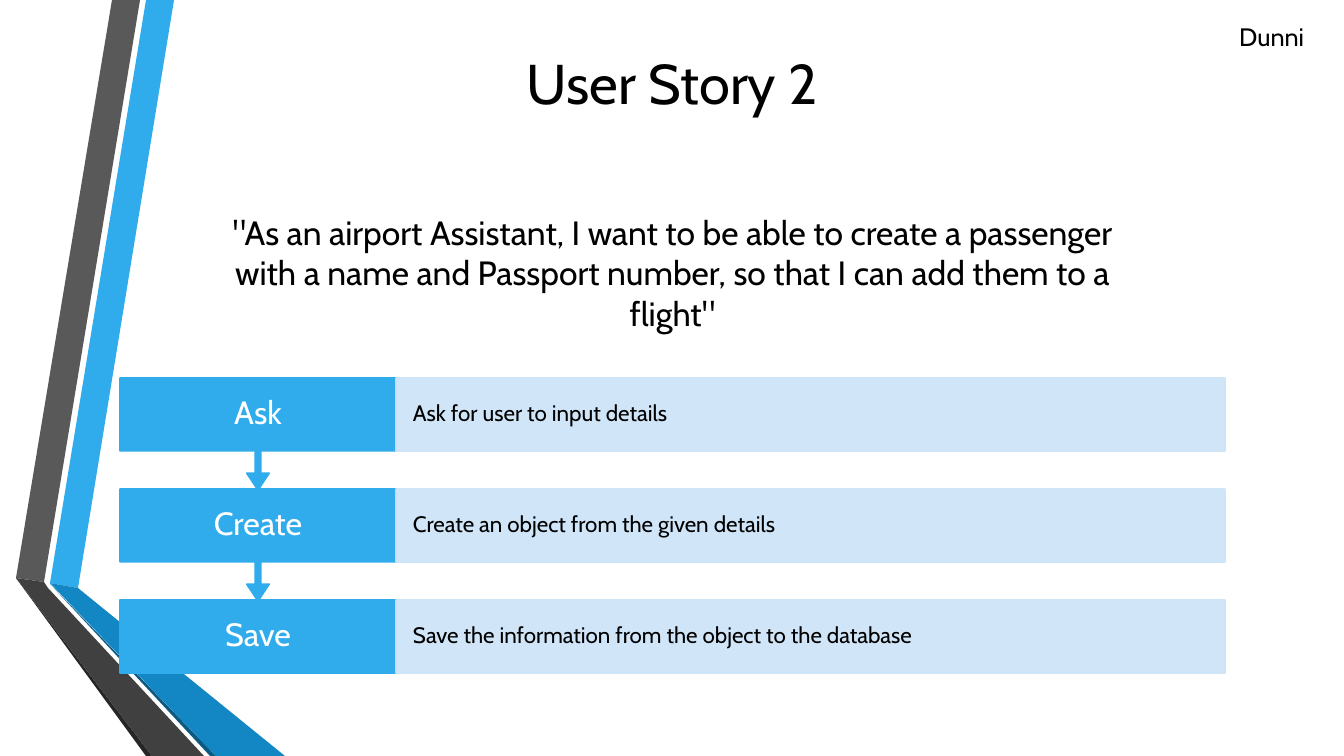
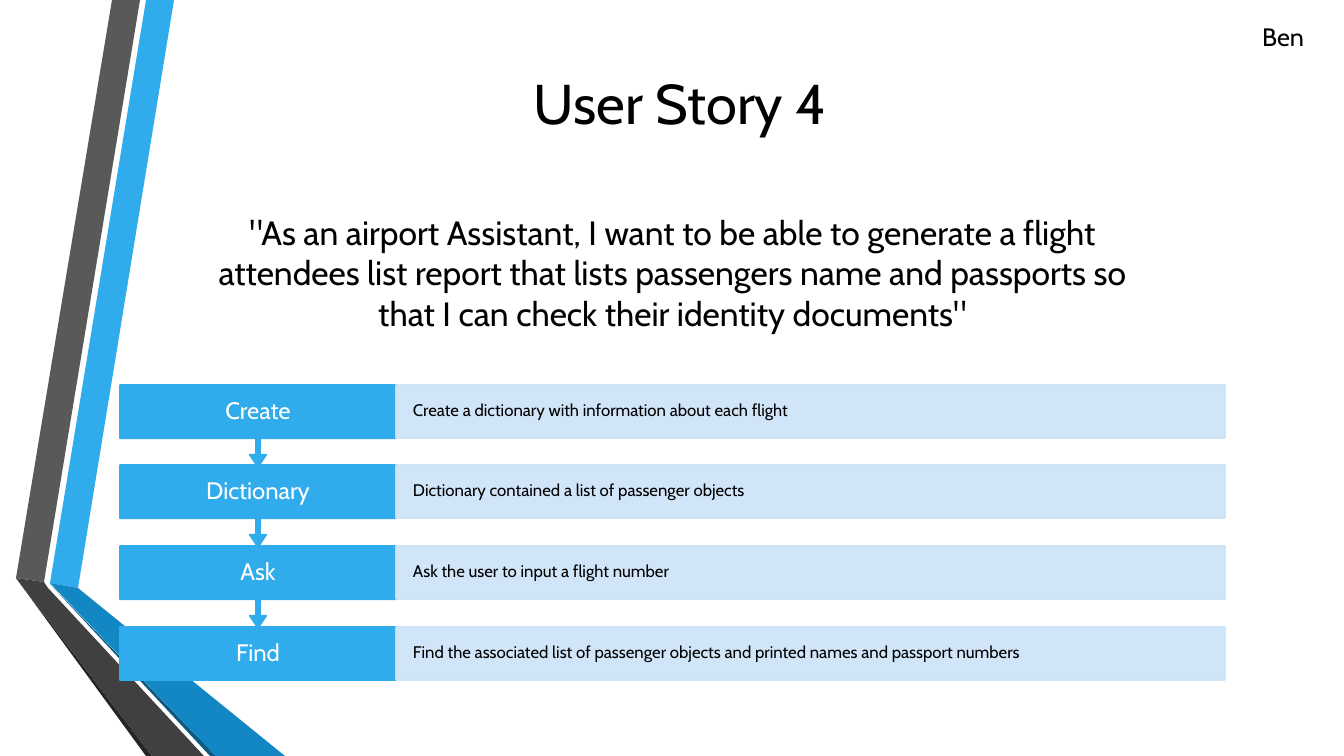
import pptx
import pptx.util
import pptx.dml.color
import pptx.enum.shapes
import pptx.enum.text
import pptx.oxml.ns
import lxml.etree

RGB = pptx.dml.color.RGBColor
KIND = pptx.enum.shapes.MSO_SHAPE
ALIGN = pptx.enum.text.PP_ALIGN
ANCHOR = pptx.enum.text.MSO_ANCHOR
FIT = pptx.enum.text.MSO_AUTO_SIZE

# Shared look
PX = 12192000 / 1344
FONT = "Cabin"
BLUE = RGB(0x30, 0xAC, 0xEC)
PALE = RGB(0xCD, 0xE3, 0xF8)
GREY = RGB(0x59, 0x59, 0x59)
COAL = RGB(0x40, 0x40, 0x40)
SHADE = RGB(0x26, 0x26, 0x26)
NAVY = RGB(0x0C, 0x5A, 0x82)
DEEP = RGB(0x12, 0x87, 0xC3)
BLACK = RGB(0, 0, 0)
WHITE = RGB(255, 255, 255)

# Folded ribbons at the left edge, back to front
BANDS = [
    (BLUE, [(50, 583), (78, 588), (174, 0), (146, 0)]),
    (GREY, [(140, 0), (112, 0), (16, 578), (44, 582)]),
    (SHADE, [(16, 578), (146, 756), (152, 756)]),
    (NAVY, [(50, 584), (210, 756), (216, 756)]),
    (DEEP, [(50, 583), (216, 756), (285, 756), (78, 588)]),
    (COAL, [(204, 756), (48, 588), (44, 582), (16, 578), (152, 756)]),
]

# Step rows: left edge and the widths of both columns
LEFT, STEP_W, NOTE_W = 120, 276, 829

STORIES = [
    dict(
        title="User Story 2", spot=(120, 16), name="Dunni",
        quote='"As an airport Assistant, I want to be able to create a passenger '
              'with a name and Passport number, so that I can add them to a flight"',
        first=378, last=600, high=73, sizes=(23, 16),
        steps=[
            ("Ask", "Ask for user to input details"),
            ("Create", "Create an object from the given details"),
            ("Save", "Save the information from the object to the database"),
        ],
    ),
    dict(
        title="User Story 4", spot=(128, 36), name="Ben",
        quote='"As an airport Assistant, I want to be able to generate a flight '
              'attendees list report that lists passengers name and passports so '
              'that I can check their identity documents"',
        first=385, last=627, high=53, sizes=(17, 12),
        steps=[
            ("Create", "Create a dictionary with information about each flight"),
            ("Dictionary", "Dictionary contained a list of passenger objects"),
            ("Ask", "Ask the user to input a flight number"),
            ("Find", "Find the associated list of passenger objects and printed "
                     "names and passport numbers"),
        ],
    ),
]


def px(*nums):
    return [round(n * PX) for n in nums]


def write(frame, text, size, color, align):
    frame.text = text
    frame.word_wrap = True
    para = frame.paragraphs[0]
    para.alignment = align
    font = para.runs[0].font
    font.name, font.size = FONT, pptx.util.Pt(size)
    font.color.rgb = color
    return para


def add_bands(slide, layout):
    """Build the ribbons, then move them to the layout that slides share."""
    for color, points in BANDS:
        pen = slide.shapes.build_freeform(*points[0], scale=PX)
        pen.add_line_segments(points[1:], close=True)
        band = pen.convert_to_shape()
        band.shadow.inherit = False
        band.fill.solid()
        band.fill.fore_color.rgb = color
        band.line.fill.background()
        layout.shapes.element.append(band.element)


def add_title(slide, text, left, top):
    title = slide.shapes.title
    title.left, title.top, title.width, title.height = px(left, top, 1105, 133)
    write(title.text_frame, text, 40, BLACK, ALIGN.CENTER)
    title.text_frame.vertical_anchor = ANCHOR.MIDDLE


def add_text(slide, box, text, size, align):
    frame = slide.shapes.add_textbox(*px(*box)).text_frame
    write(frame, text, size, BLACK, align)
    frame.auto_size = FIT.SHAPE_TO_FIT_TEXT


def add_block(slide, kind, box, fill, text, size, color, align, inset):
    block = slide.shapes.add_shape(kind, *px(*box))
    block.shadow.inherit = False
    block.fill.solid()
    block.fill.fore_color.rgb = fill
    block.line.color.rgb = fill
    block.line.width = pptx.util.Pt(1.25)
    frame = block.text_frame
    frame.margin_left, frame.margin_right = px(inset, inset)
    frame.margin_top = frame.margin_bottom = 0
    frame.vertical_anchor = ANCHOR.MIDDLE
    write(frame, text, size, color, align).line_spacing = 0.9
    return block


def fade(shape, percent):
    """Set the opacity of the fill and the line."""
    tag = pptx.oxml.ns.qn("a:srgbClr")
    for color in shape.element.spPr.iter(tag):
        alpha = lxml.etree.SubElement(color, pptx.oxml.ns.qn("a:alpha"))
        alpha.set("val", str(percent * 1000))


def add_steps(slide, steps, first, last, high, sizes):
    end = len(steps) - 1
    # Bottom row first, so that each arrow lies over the row below it
    for i in range(end, -1, -1):
        head, note = steps[i]
        top = first + i * (last - first) // end
        kind, tall = KIND.RECTANGLE, high
        if i < end:
            kind, tall = KIND.DOWN_ARROW_CALLOUT, round(high / 0.65)
        step = add_block(slide, kind, (LEFT, top, STEP_W, tall), BLUE,
                         head, sizes[0], WHITE, ALIGN.CENTER, 19)
        if i < end:
            for n, value in enumerate((0.05, 0.1, 0.15, 0.65)):
                step.adjustments[n] = value
        side = add_block(slide, KIND.RECTANGLE,
                         (LEFT + STEP_W, top, NOTE_W, high), PALE,
                         note, sizes[1], BLACK, ALIGN.LEFT, 17)
        fade(side, 90)


def main():
    deck = pptx.Presentation()
    deck.slide_width, deck.slide_height = px(1344, 756)
    layout = deck.slide_layouts[5]
    for i, story in enumerate(STORIES):
        slide = deck.slides.add_slide(layout)
        if i == 0:
            add_bands(slide, layout)
        add_title(slide, story["title"], *story["spot"])
        add_text(slide, (196, 207, 953, 132), story["quote"], 24, ALIGN.CENTER)
        add_text(slide, (1101, 16, 213, 40), story["name"], 18, ALIGN.RIGHT)
        add_steps(slide, story["steps"], story["first"], story["last"],
                  story["high"], story["sizes"])
    deck.save("out.pptx")


if __name__ == "__main__":
    main()
